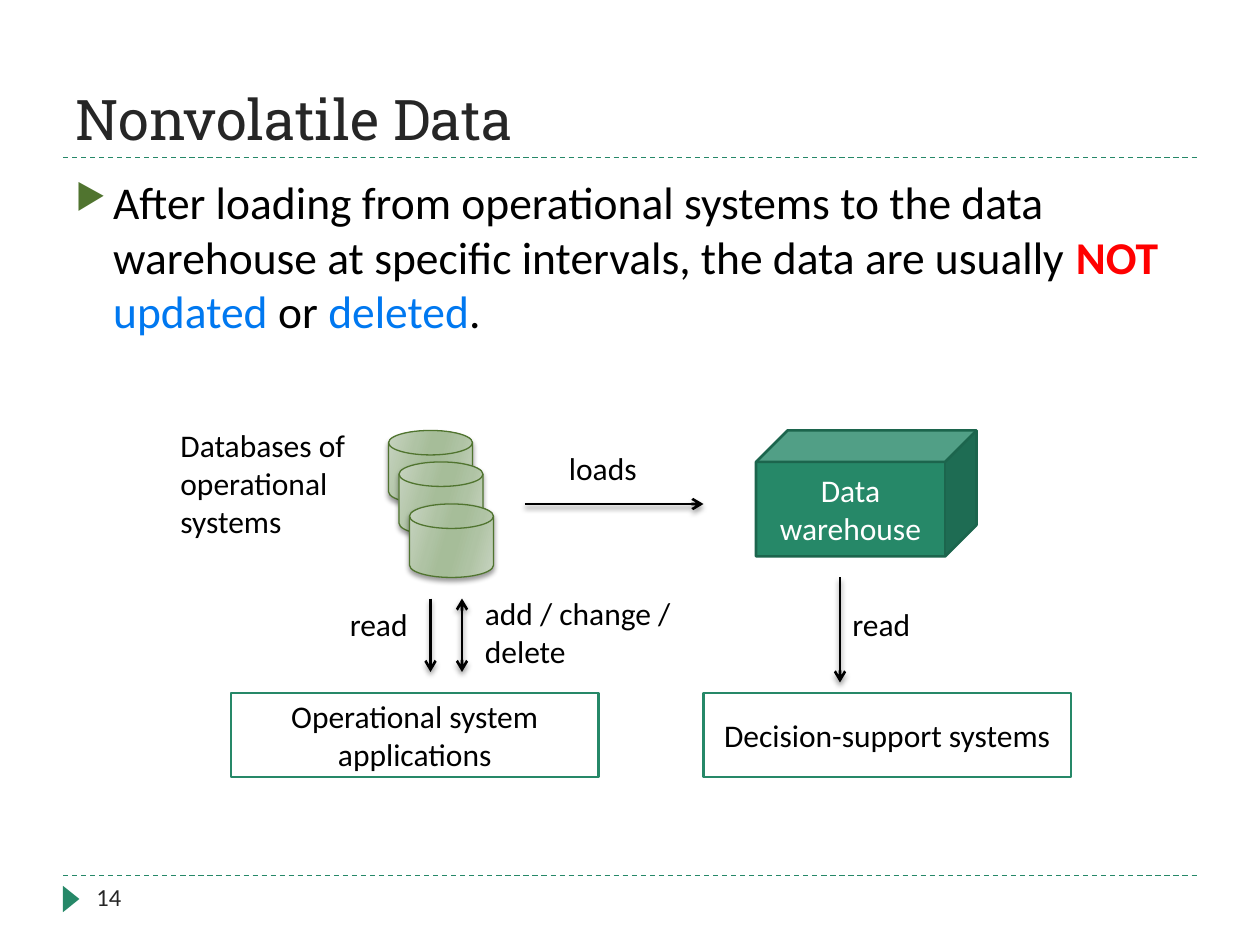
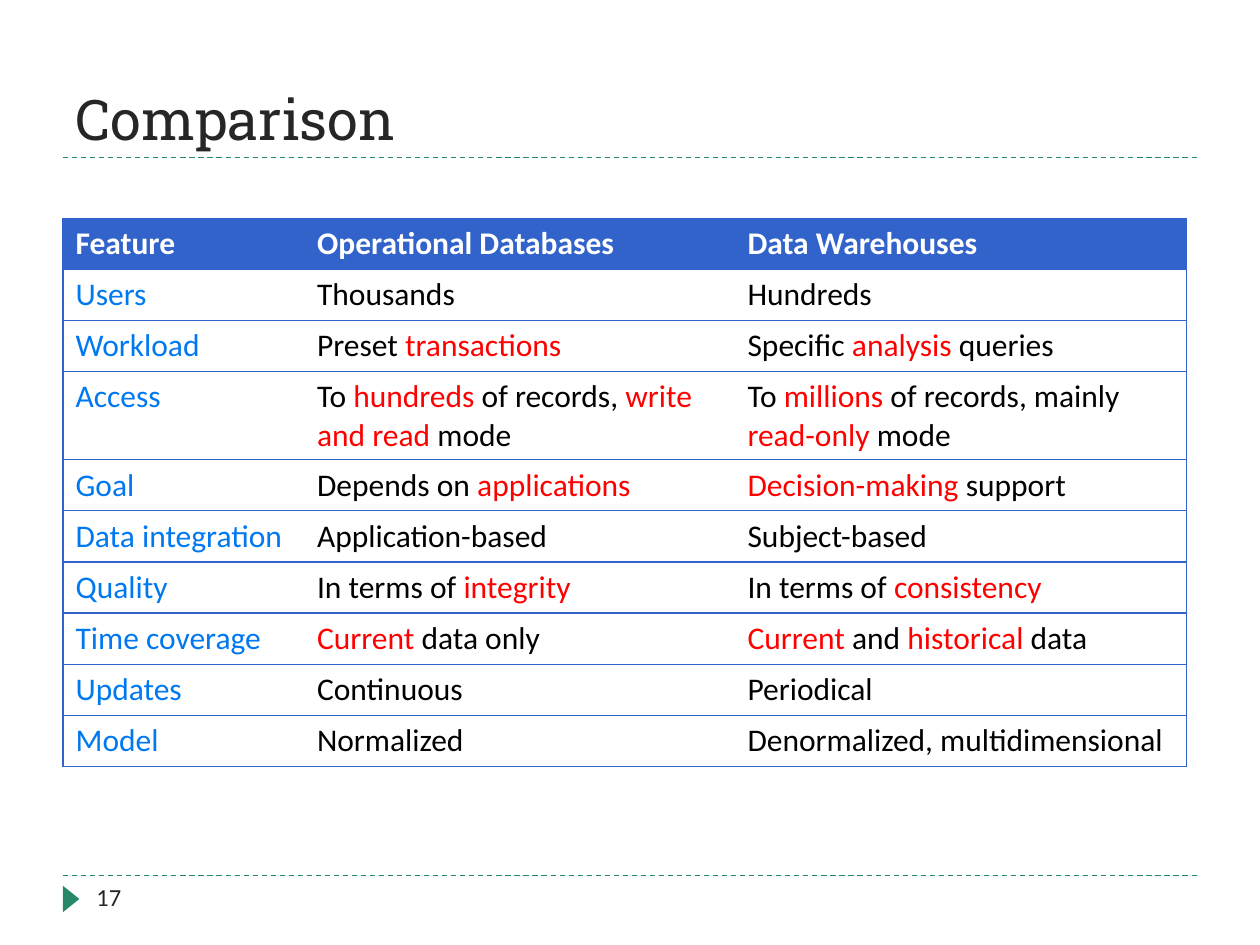
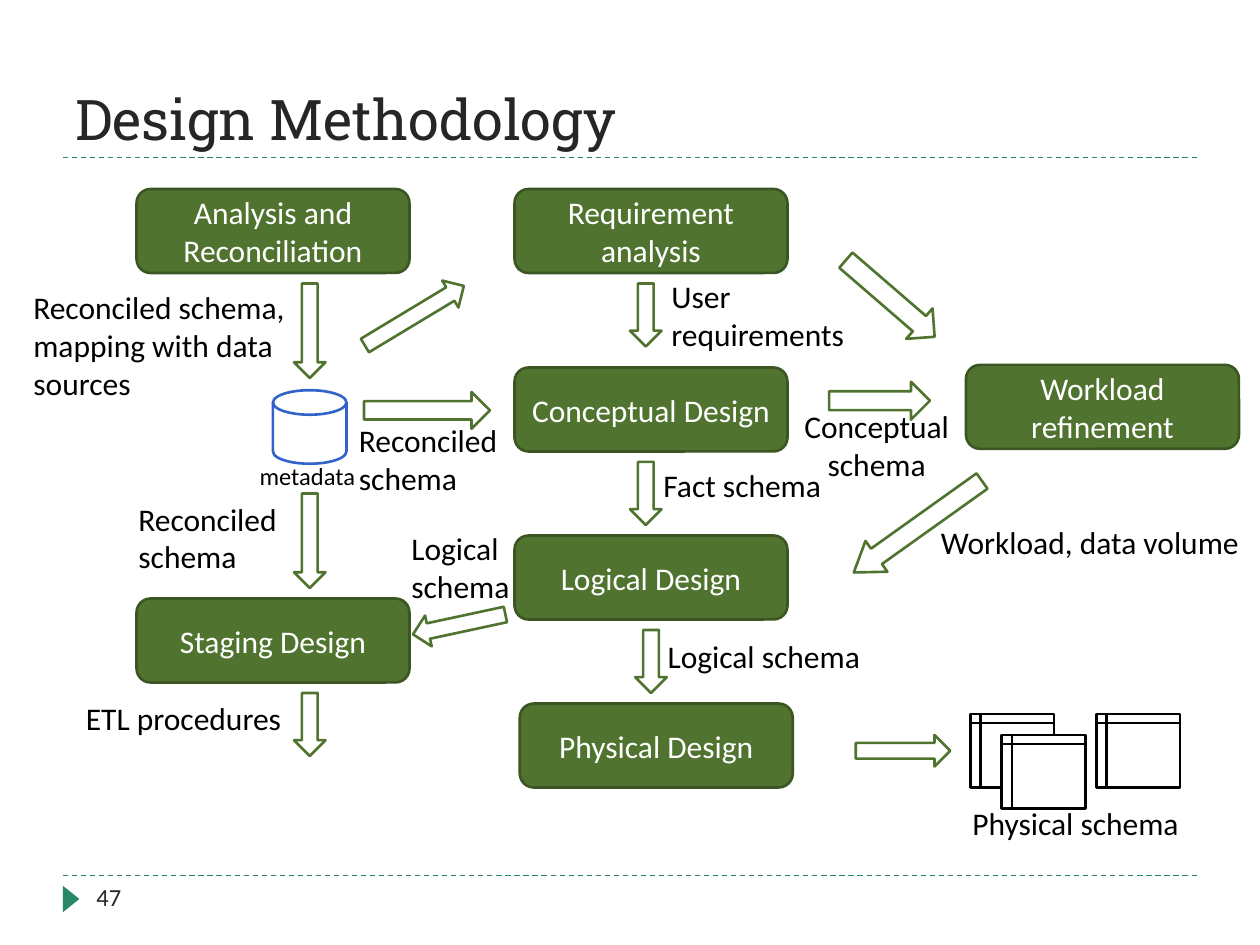
"""Build three slides on data warehouses: nonvolatile data, comparison, design methodology."""
from itertools import product

from lxml import etree
from pptx import Presentation
from pptx import util as u
from pptx.dml import color
from pptx.enum import dml, shapes, text as t
from pptx.oxml import ns

COLORS = {
    "ink": "000000", "title": "262626", "white": "FFFFFF", "red": "FF0000", "blue": "0078F0",
    "grid": "3163CA", "teal": "268868", "dark_teal": "1C654D", "green": "50742F",
    "dark_green": "3B5623", "pale": "C8D4C1", "soft": "AFC3A4", "sage": "A6BD99",
}
KINDS = shapes.MSO_SHAPE
LEFT, CENTER, RIGHT = t.PP_ALIGN.LEFT, t.PP_ALIGN.CENTER, t.PP_ALIGN.RIGHT
TOP, MIDDLE, BOTTOM = t.MSO_ANCHOR.TOP, t.MSO_ANCHOR.MIDDLE, t.MSO_ANCHOR.BOTTOM
DISK_STOPS = ((0, "pale"), (30, "soft"), (45, "sage"), (55, "sage"), (73, "soft"), (100, "pale"))


def rgb(name):
    return color.RGBColor.from_string(COLORS[name])


def add_xml(parent, tag, **attributes):
    return etree.SubElement(parent, ns.qn(f"a:{tag}"), attributes)


def add_color(parent, name):
    return add_xml(parent, "srgbClr", val=COLORS[name])


def add_bullet(para, char, name, percent, indent):
    properties = para._p.get_or_add_pPr()
    properties.set("marL", str(u.Pt(indent)))
    properties.set("indent", str(-u.Pt(indent)))
    add_color(add_xml(properties, "buClr"), name)
    add_xml(properties, "buSzPct", val=str(percent * 1000))
    add_xml(properties, "buChar", char=char)


def write(frame, text, size=18, ink="ink", font="Calibri", bold=False, align=LEFT,
          anchor=TOP, accents=("red",), strong=(), bullet=None):
    """Fill a frame; every second part between bars takes the next accent colour."""
    frame.word_wrap = True
    frame.vertical_anchor = anchor
    para = frame.paragraphs[0]
    para.alignment = align
    if bullet:
        add_bullet(para, **bullet)
    for index, part in enumerate(text.split("|")):
        name = accents[index // 2 % len(accents)] if index % 2 else ink
        for row, line in enumerate(part.split("\n")):
            if row:
                para.add_line_break()
            if line:
                span = para.add_run()
                span.text = line
                span.font.size = u.Pt(size)
                span.font.name = font
                span.font.bold = bold or line in strong
                span.font.color.rgb = rgb(name)


def set_effects(item, shadow):
    effects = add_xml(item.element.spPr, "effectLst")
    if shadow:
        outer = add_xml(effects, "outerShdw", blurRad=str(u.Pt(3)), dist=str(u.Pt(2)),
                        dir="5400000", rotWithShape="0")
        add_xml(add_color(outer, "ink"), "alpha", val="40000")


def set_gradient(item, stops, angle):
    item.fill.gradient()
    item.fill.gradient_angle = 360 - angle
    stop_list = item.element.spPr.find(ns.qn("a:gradFill")).find(ns.qn("a:gsLst"))
    for stop in list(stop_list):
        stop_list.remove(stop)
    for percent, name in stops:
        add_color(add_xml(stop_list, "gs", pos=str(percent * 1000)), name)


def set_borders(cell, **edges):
    properties = cell._tc.get_or_add_tcPr()
    for side, visible in edges.items():
        edge = add_xml(properties, f"ln{side}", w=str(u.Pt(0.75)))
        if visible:
            add_color(add_xml(edge, "solidFill"), "grid")
        else:
            add_xml(edge, "noFill")


class Deck:
    """Holds the style and the page being drawn."""

    def __init__(self):
        self.deck = Presentation()
        self.deck.slide_width, self.deck.slide_height = u.Pt(720), u.Pt(540)
        self.page = None

    def start_page(self, title, number):
        self.page = self.deck.slides.add_slide(self.deck.slide_layouts[6])
        for y in (500.4, 90):
            self.line(36, y, 684, y, ink="teal", width=0.75, dashed=True)
        self.shape(KINDS.ISOSCELES_TRIANGLE, 33.1, 509, 15.1, 9.4, fill="teal", turn=90)
        self.text(title, 36, 12, 648, 78, size=32, font="Roboto Slab", ink="title", anchor=BOTTOM)
        self.text(str(number), 48, 500.4, 156, 28.8, size=14, ink="title")

    def text(self, text, left, top, width, height, **style):
        box = self.page.shapes.add_textbox(*map(u.Pt, (left, top, width, height)))
        write(box.text_frame, text, **style)

    def label(self, text, left, top, width, lines=1, size=18, **style):
        self.text(text, left, top, width, round(7.2 + lines * size * 1.21, 1), size=size, **style)

    def shape(self, kind, left, top, width, height, fill="white", edge=None, weight=1.5,
              turn=0, shadow=False, text=None, ink="white"):
        item = self.page.shapes.add_shape(kind, *map(u.Pt, (left, top, width, height)))
        item.rotation = turn
        if isinstance(fill, str):
            item.fill.solid()
            item.fill.fore_color.rgb = rgb(fill)
        else:
            set_gradient(item, fill, 16)
        if edge:
            item.line.color.rgb = rgb(edge)
            item.line.width = u.Pt(weight)
        else:
            item.line.fill.background()
        set_effects(item, shadow)
        if text:
            write(item.text_frame, text, ink=ink, align=CENTER, anchor=MIDDLE)
        return item

    def line(self, x1, y1, x2, y2, ink="ink", width=1.5, dashed=False, ends=(), shadow=False):
        item = self.page.shapes.add_connector(shapes.MSO_CONNECTOR.STRAIGHT,
                                              *map(u.Pt, (x1, y1, x2, y2)))
        item.line.color.rgb = rgb(ink)
        item.line.width = u.Pt(width)
        if dashed:
            item.line.dash_style = dml.MSO_LINE.DASH
        for end in ends:
            add_xml(item.line._get_or_add_ln(), end, type="arrow")
        set_effects(item, shadow)

    def step(self, text, left, top):
        self.shape(KINDS.FLOWCHART_ALTERNATE_PROCESS, left, top, 156, 48,
                   fill="green", edge="dark_green", text=text)

    def block_arrow(self, left, top, width, height, turn=0):
        return self.shape(KINDS.RIGHT_ARROW, left, top, width, height, edge="green", turn=turn)

    def down_arrow(self, middle, top, length, height=18):
        self.block_arrow(middle - length / 2, top + (length - height) / 2, length, height, 90)

    def table(self, rows, left, top, widths, heights):
        frame = self.page.shapes.add_table(len(rows), len(widths), *map(
            u.Pt, (left, top, sum(widths), sum(heights))))
        table = frame.table
        table.first_row = table.horz_banding = False
        for column, width in zip(table.columns, widths):
            column.width = u.Pt(width)
        for row, height in zip(table.rows, heights):
            row.height = u.Pt(height)
        for r, c in product(range(len(rows)), range(len(widths))):
            cell = table.cell(r, c)
            set_borders(cell, L=c == 0, R=c == len(widths) - 1, T=True, B=True)
            cell.fill.solid()
            cell.fill.fore_color.rgb = rgb("white" if r else "grid")
            ink = "white" if r == 0 else "ink" if c else "blue"
            write(cell.text_frame, rows[r][c], ink=ink, bold=r == 0)


def draw_nonvolatile(deck):
    deck.start_page("Nonvolatile Data", 14)
    deck.text("After loading from operational systems to the data warehouse at specific intervals, "
              "the data are usually |NOT ||updated| or |deleted|.", 36, 96, 648, 120, size=26,
              accents=("red", "blue", "blue"), strong=("NOT ",),
              bullet={"char": "▶", "name": "green", "percent": 76, "indent": 21.6})
    for left, top in ((222, 246), (228, 264), (234, 288)):
        deck.shape(KINDS.FLOWCHART_MAGNETIC_DISK, left, top, 48, 42, fill=DISK_STOPS,
                   edge="green", weight=0.75, shadow=True)
    deck.shape(KINDS.CUBE, 432, 246, 126, 72, fill="teal", edge="dark_teal",
               text="Data warehouse")
    for text, left in (("Operational system applications", 132), ("Decision-support systems", 402)):
        deck.shape(KINDS.RECTANGLE, left, 396, 210, 48, edge="teal", text=text, ink="ink")
    for x1, y1, x2, y2, ends in (
        (300, 288, 402, 288, ("tailEnd",)),
        (480, 330, 480, 390, ("tailEnd",)),
        (246, 342, 246, 384, ("tailEnd",)),
        (264, 342, 264, 384, ("headEnd", "tailEnd")),
    ):
        deck.line(x1, y1, x2, y2, ends=ends, shadow=True)
    for text, left, top, width, lines, align in (
        ("Databases of operational systems", 96, 240, 120, 3, LEFT),
        ("loads", 318, 253, 60, 1, LEFT),
        ("read", 180, 342, 60, 1, RIGHT),
        ("add / change / delete", 270, 336, 126, 2, LEFT),
        ("read", 480, 342, 60, 1, LEFT),
    ):
        deck.label(text, left, top, width, lines, align=align)


def draw_comparison(deck):
    deck.start_page("Comparison", 17)
    rows = (
        ("Feature", "Operational Databases", "Data Warehouses"),
        ("Users", "Thousands", "Hundreds"),
        ("Workload", "Preset |transactions", "Specific |analysis| queries"),
        ("Access", "To |hundreds| of records, |write and read| mode",
         "To |millions| of records, mainly |read-only| mode"),
        ("Goal", "Depends on |applications", "|Decision-making| support"),
        ("Data integration", "Application-based", "Subject-based"),
        ("Quality", "In terms of |integrity", "In terms of |consistency"),
        ("Time coverage", "|Current| data only", "|Current| and |historical| data"),
        ("Updates", "Continuous", "Periodical"),
        ("Model", "Normalized", "Denormalized, multidimensional"),
    )
    heights = [50.4 if row[0] == "Access" else 29.2 for row in rows]
    deck.table(rows, 36, 124.7, (138, 246, 258), heights)


def draw_methodology(deck):
    deck.start_page("Design Methodology", 47)
    for text, left, top in (
        ("Analysis and Reconciliation", 78, 108),
        ("Staging Design", 78, 342),
        ("Requirement analysis", 294, 108),
        ("Conceptual Design", 294, 210),
        ("Logical Design", 294, 306),
        ("Physical Design", 297, 402),
        ("Workload refinement", 552, 208.5),
    ):
        deck.step(text, left, top)
    for middle, top, length in ((177, 162, 54), (177, 282, 54), (177, 396, 36),
                                (369, 162, 36), (369, 264, 36), (372, 360, 36)):
        deck.down_arrow(middle, top, length)
    for arrow in (
        (208, 224, 72, 21),
        (203.8, 171.4, 66, 18, 328.9),
        (475.2, 159.1, 67, 23, 40.8),
        (473.8, 218.2, 57.6, 21.6),
        (235.4, 347.8, 54, 18, 167.9),
        (489, 420, 54, 18),
    ):
        deck.block_arrow(*arrow)
    workload_arrow = deck.block_arrow(479.5, 290.2, 90, 21.6, 144.5)
    workload_arrow.adjustments[1] = 0.735
    deck.shape(KINDS.FLOWCHART_MAGNETIC_DISK, 156, 223, 42, 42, edge="grid")
    for left, top in ((554.4, 408), (572.4, 420), (626.4, 408)):
        deck.shape(KINDS.FLOWCHART_INTERNAL_STORAGE, left, top, 48, 42, edge="ink")
    for text, left, top, width, lines in (
        ("Reconciled schema, mapping with data sources", 12, 161.3, 180, 3),
        ("Reconciled schema", 198, 237, 96, 2),
        ("Reconciled schema", 72, 282, 96, 2),
        ("ETL procedures", 42, 396, 138, 1),
        ("User \nrequirements", 376.6, 155, 174, 2),
        ("Fact schema", 372, 263, 138, 1),
        ("Logical schema", 228, 299, 84, 2),
        ("Logical schema", 374.4, 360.7, 138, 1),
        ("Workload, data volume", 530.6, 295.2, 189, 1),
        ("Physical schema", 548.6, 455.8, 138, 1),
    ):
        deck.label(text, left, top, width, lines)
    deck.label("metadata", 120, 260, 90, size=14, align=RIGHT)
    deck.label("Conceptual schema", 432, 229, 138, 2, align=CENTER)


def main():
    deck = Deck()
    draw_nonvolatile(deck)
    draw_comparison(deck)
    draw_methodology(deck)
    deck.deck.save("out.pptx")


if __name__ == "__main__":
    main()
